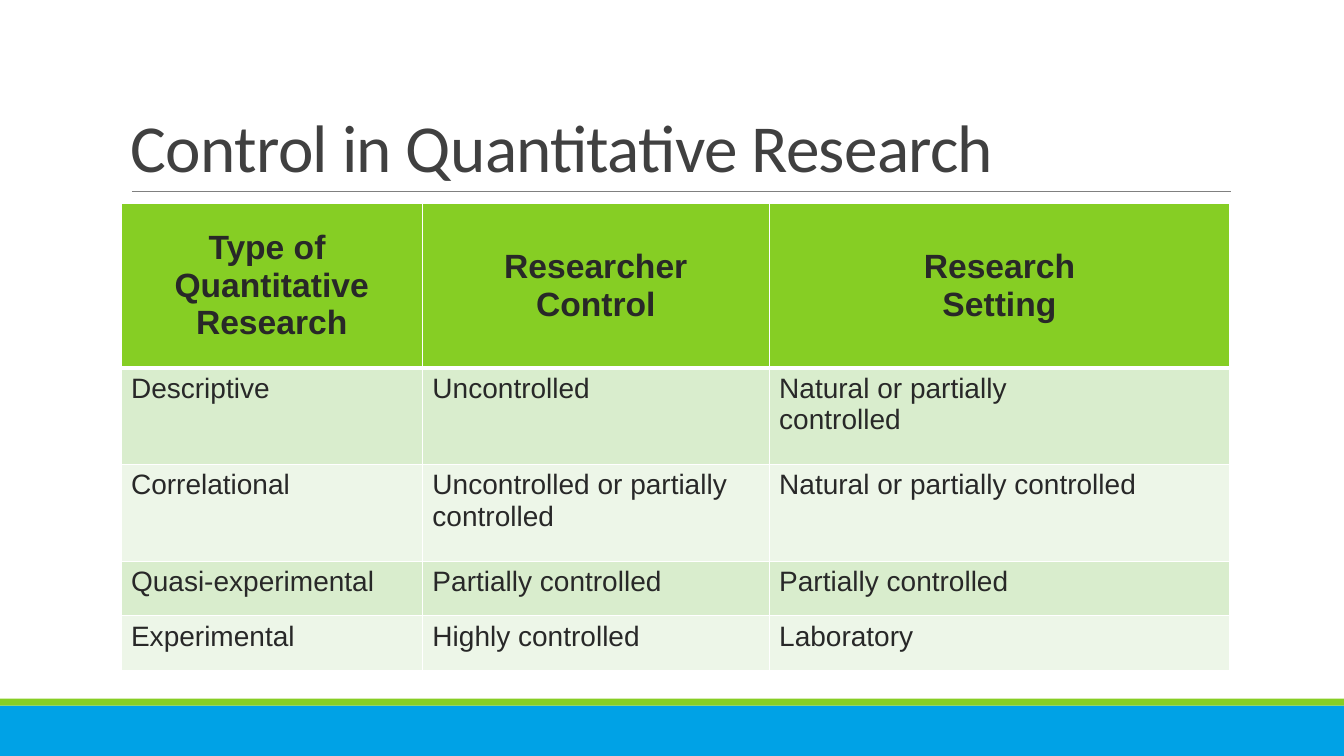
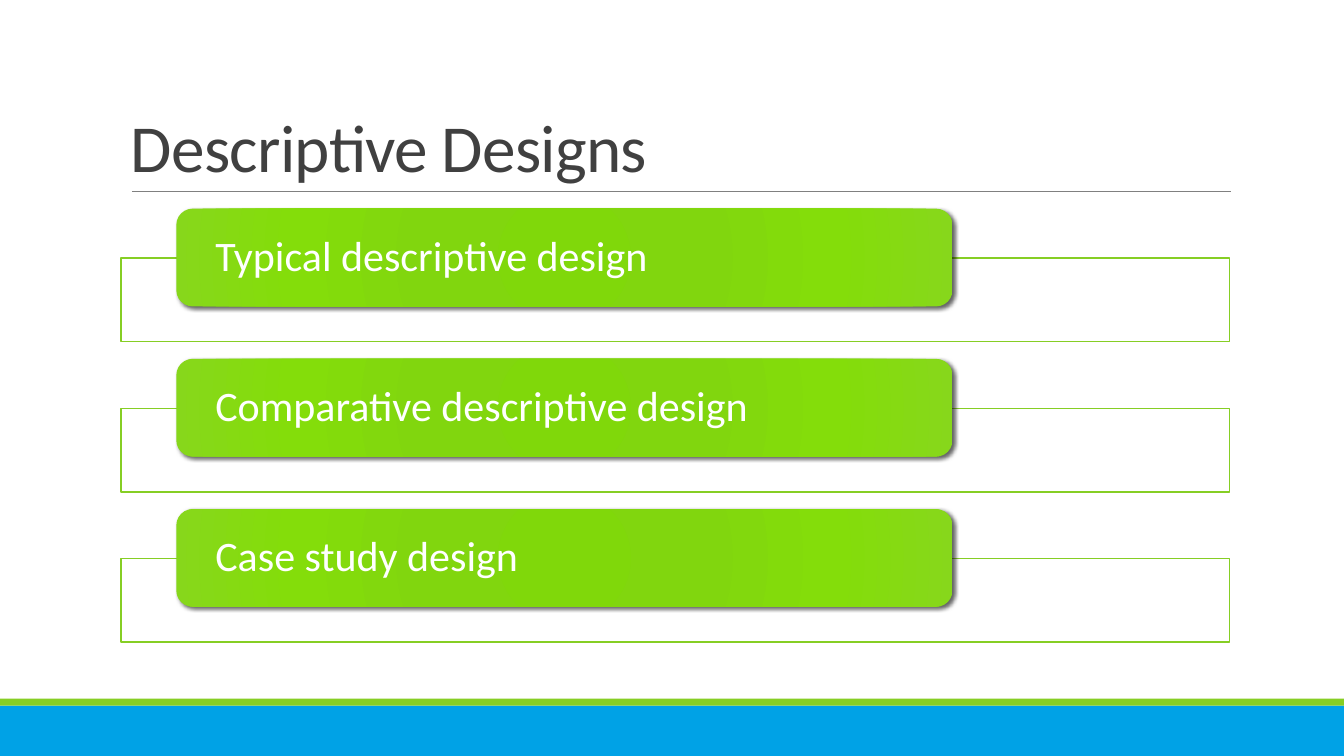
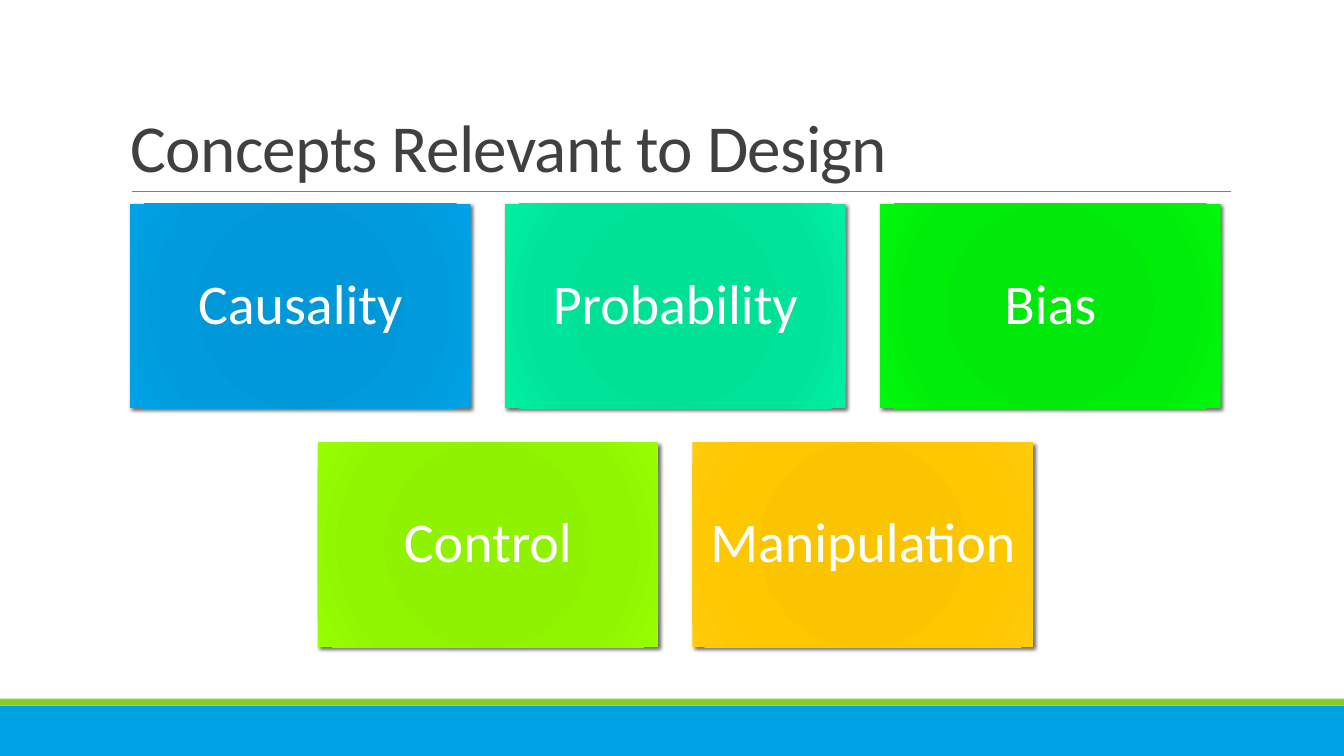
"""Build three slides on quantitative research design."""
import pptx
import pptx.dml.color
import pptx.enum.shapes
import pptx.enum.text
import pptx.oxml
import pptx.oxml.ns
import pptx.util

SHAPES = pptx.enum.shapes.MSO_SHAPE
ANCHOR = pptx.enum.text.MSO_ANCHOR
ALIGN = pptx.enum.text.PP_ALIGN
LEFT, WIDTH, BODY_TOP = 9, 82.5, 26.93
BLUE, GREEN, WHITE = "00A2E6", "86CE24", "FFFFFF"
BAND_FILLS = ("D9EDCD", "EDF6E8")
TAB_SHADES = ("80D80A", "81D60E", "84DD0A", "87D71B")


def colour(code):
    return pptx.dml.color.RGBColor.from_string(code)


def element(tag, attributes="", content=""):
    names = pptx.oxml.ns.nsdecls("a")
    return pptx.oxml.parse_xml(f"<a:{tag} {names} {attributes}>{content}</a:{tag}>")


def solid(code, alpha=100):
    return f'<a:srgbClr val="{code}"><a:alpha val="{alpha * 1000}"/></a:srgbClr>'


class Slides:
    columns, rows = 100, 100
    heading_font, table_font = "Calibri", "Arial"

    def __init__(self):
        self.deck = pptx.Presentation()
        self.deck.slide_width = pptx.util.Inches(13.33)
        self.deck.slide_height = pptx.util.Inches(7.5)
        self.page = None

    def across(self, columns):
        return round(self.deck.slide_width * columns / self.columns)

    def down(self, rows):
        return round(self.deck.slide_height * rows / self.rows)

    def place(self, left, top, width, height):
        return self.across(left), self.down(top), self.across(width), self.down(height)

    def start(self, title):
        self.page = self.deck.slides.add_slide(self.deck.slide_layouts[6])
        self.block((0, 93.33, 100, 6.67), BLUE)
        self.block((0, 92.4, 100, 0.93), GREEN)
        self.rule(9.82, 91.58, 25.33)
        box = self.page.shapes.add_textbox(*self.place(LEFT, 4.13, WIDTH, 21.2))
        self.set_text(box.text_frame, title, 48, "404040", anchor=ANCHOR.BOTTOM, spacing=0.85)
        for span in box.text_frame.paragraphs[0].runs:
            span.font._element.set("spc", "-50")

    def rule(self, left, right, top):
        line = self.page.shapes.add_connector(
            pptx.enum.shapes.MSO_CONNECTOR.STRAIGHT,
            self.across(left), self.down(top), self.across(right), self.down(top))
        line.line.color.rgb = colour("808080")
        line.line.width = pptx.util.Pt(0.5)
        line._element.spPr.append(element("effectLst"))

    def set_text(self, frame, text, size, ink, font=heading_font, bold=False,
                 align=ALIGN.LEFT, anchor=ANCHOR.MIDDLE, spacing=None):
        frame.text = text
        frame.word_wrap = True
        frame.vertical_anchor = anchor
        for para in frame.paragraphs:
            para.alignment = align
            para.line_spacing = spacing
            for span in para.runs:
                span.font.name = font
                span.font.size = pptx.util.Pt(size)
                span.font.bold = bold
                span.font.color.rgb = colour(ink)

    def block(self, area, fill, outline=None, alpha=100, kind=SHAPES.RECTANGLE):
        shape = self.page.shapes.add_shape(kind, *self.place(*area))
        shape.shadow.inherit = False
        shape.fill.solid()
        shape.fill.fore_color.rgb = colour(fill)
        if alpha < 100:
            paint = shape._element.spPr.find(pptx.oxml.ns.qn("a:solidFill"))
            paint[0].append(element("alpha", f'val="{alpha * 1000}"'))
        if outline:
            shape.line.color.rgb = colour(outline)
            shape.line.width = pptx.util.Pt(1)
        else:
            shape.line.fill.background()
        return shape

    def card(self, area, shades, text, size, margins, align=ALIGN.CENTER, kind=SHAPES.RECTANGLE):
        shape = self.block(area, shades[0], kind=kind)
        properties = shape._element.spPr
        stops = "".join(f'<a:gs pos="{position * 1000}">{solid(shade)}</a:gs>'
                        for position, shade in zip((0, 34, 70, 100), shades))
        centre = '<a:fillToRect l="100000" t="100000" r="100000" b="100000"/>'
        gradient = element("gradFill", 'rotWithShape="1"',
                           f'<a:gsLst>{stops}</a:gsLst><a:path path="circle">{centre}</a:path>')
        properties.replace(properties.find(pptx.oxml.ns.qn("a:solidFill")), gradient)
        blur, distance = pptx.util.Pt(3), pptx.util.Pt(2)
        properties.find(pptx.oxml.ns.qn("a:effectLst")).append(element(
            "outerShdw", f'blurRad="{blur}" dist="{distance}" dir="2700000" algn="ctr"',
            solid("000000", 60)))
        frame = shape.text_frame
        frame.margin_left = frame.margin_right = self.across(margins[0])
        frame.margin_top = frame.margin_bottom = self.down(margins[1])
        self.set_text(frame, text, size, WHITE, align=align, spacing=0.9)

    def border(self, cell, top, bottom):
        for side, points in (("L", 1), ("R", 1), ("T", top), ("B", bottom)):
            cell._tc.get_or_add_tcPr().append(element(
                f"ln{side}", f'w="{pptx.util.Pt(points)}"',
                f"<a:solidFill>{solid(WHITE)}</a:solidFill>"))

    def table(self, left, top, widths, heights, records):
        area = self.place(left, top, sum(widths), sum(heights))
        grid = self.page.shapes.add_table(len(heights), len(widths), *area).table
        grid.first_row = grid.horz_banding = False
        for column, width in zip(grid.columns, widths):
            column.width = self.across(width)
        for number, (row, height, record) in enumerate(zip(grid.rows, heights, records)):
            row.height = self.down(height)
            header = number == 0
            for cell, text in zip(row.cells, record):
                self.border(cell, 3 if number == 1 else 1, 3 if header else 1)
                cell.fill.solid()
                cell.fill.fore_color.rgb = colour(GREEN if header else BAND_FILLS[(number - 1) % 2])
                self.set_text(cell.text_frame, text, 24 if header else 20, "282828",
                              self.table_font, header, ALIGN.CENTER if header else ALIGN.LEFT)
                cell.vertical_anchor = ANCHOR.MIDDLE if header else ANCHOR.TOP


def control_table(slides):
    slides.start("Control in Quantitative Research")
    slides.table(LEFT, BODY_TOP, (22.43, 25.8, 34.27), (21.73, 12.8, 12.8, 7.2, 7.2), (
        ("Type of \nQuantitative Research", "Researcher\nControl", "Research\nSetting"),
        ("Descriptive", "Uncontrolled", "Natural or partially\ncontrolled"),
        ("Correlational", "Uncontrolled or partially controlled",
         "Natural or partially controlled"),
        ("Quasi-experimental", "Partially controlled", "Partially controlled"),
        ("Experimental", "Highly controlled", "Laboratory"),
    ))


def descriptive_designs(slides):
    slides.start("Descriptive Designs")
    designs = ("Typical descriptive design", "Comparative descriptive design", "Case study design")
    for number, design in enumerate(designs):
        top = 27.6 + 19.87 * number
        slides.block((LEFT, top + 6.53, WIDTH, 11.07), WHITE, GREEN, 90)
        slides.card((13.12, top, 57.75, 12.93), TAB_SHADES, design, 30, (2.55, 0),
                    ALIGN.LEFT, SHAPES.ROUNDED_RECTANGLE)


def design_concepts(slides):
    slides.start("Concepts Relevant to Design")
    concepts = (
        (("Causality", ("0097D6", "0098D8", "009BDC", "00A2E6")),
         ("Probability", ("00DF95", "00E196", "00E499", "00EFA0")),
         ("Bias", ("00E709", "00E90A", "00ED0A", "00F80A"))),
        (("Control", ("8CEF00", "8EF200", "90F500", "96FF02")),
         ("Manipulation", ("F8C300", "FAC500", "FEC800", "FFCB0B"))),
    )
    width, height, gap, middle = 25.35, 27.07, 2.55, 50.25
    for row, tiles in enumerate(concepts):
        left = middle - (len(tiles) * (width + gap) - gap) / 2
        top = BODY_TOP + row * 31.6
        for column, (concept, shades) in enumerate(tiles):
            area = (left + column * (width + gap), top, width, height)
            slides.card(area, shades, concept, 40, (1.25, 2.22))


def main():
    slides = Slides()
    control_table(slides)
    descriptive_designs(slides)
    design_concepts(slides)
    slides.deck.save("out.pptx")


if __name__ == "__main__":
    main()
